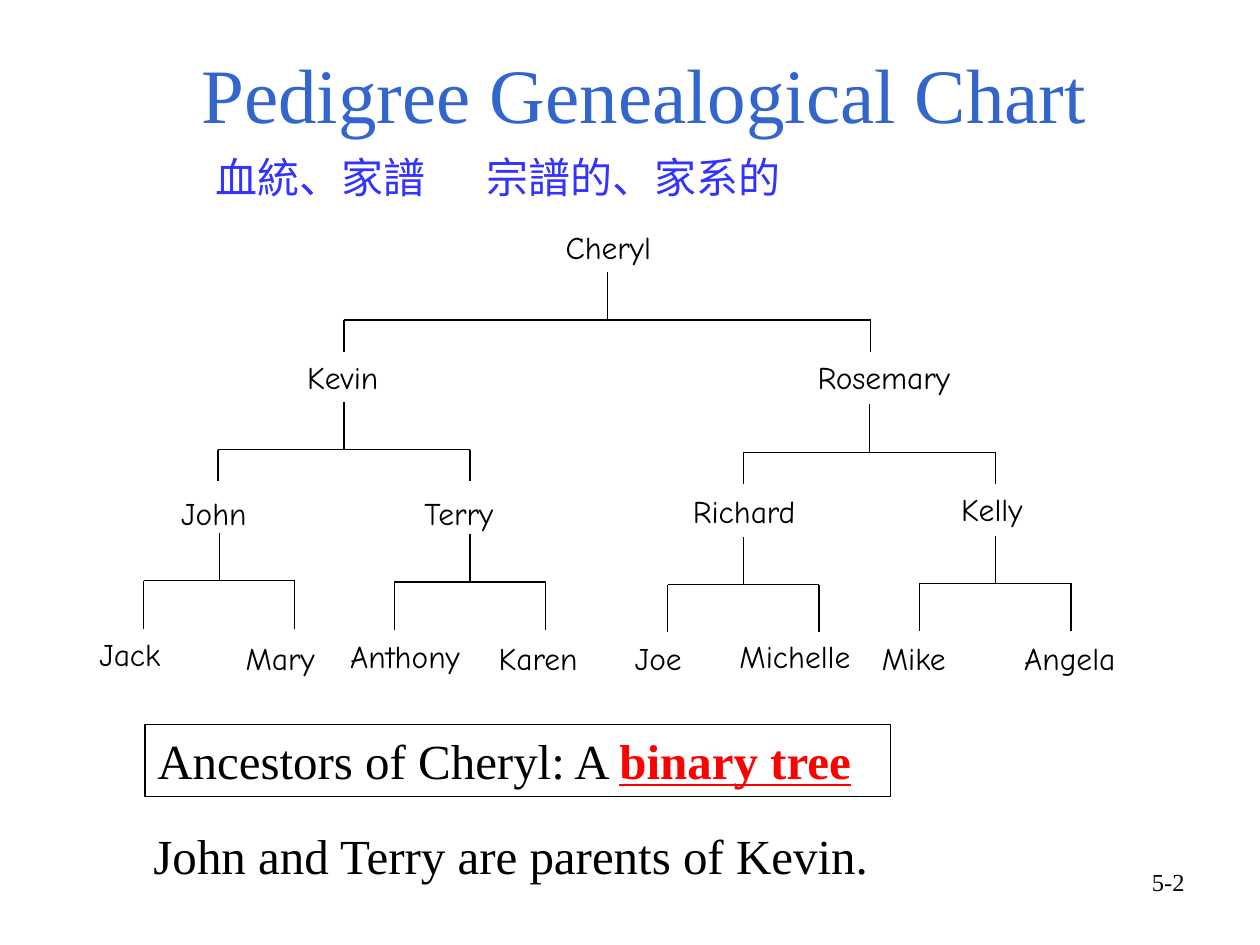
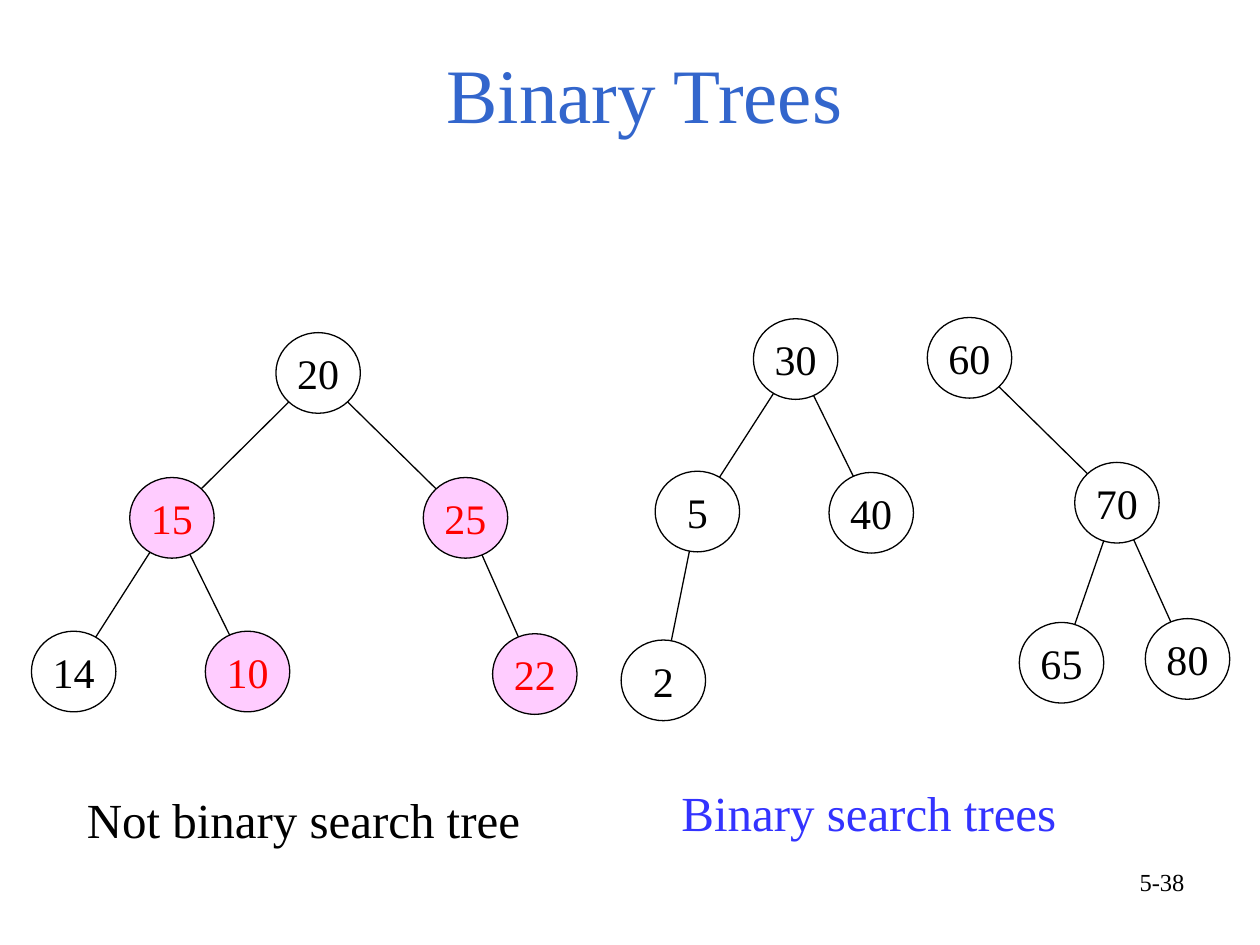
from math import hypot

from lxml import etree
from pptx import Presentation
from pptx import util as u
from pptx.dml.color import RGBColor
from pptx.enum import shapes, text
from pptx.oxml.ns import qn

PX = 9144
HEX = {"title": "3366CC", "ink": "000000", "blue": "3333FF",
       "red": "FF0000", "pink": "FFCCFF"}
SERIF, COMIC, CJK = "Times New Roman", "Comic Neue", "Noto Sans CJK SC"
LEFT, MID, RIGHT = text.PP_ALIGN.LEFT, text.PP_ALIGN.CENTER, text.PP_ALIGN.RIGHT
WIDE, HIGH = 67, 64

NAMES = [
    ("Cheryl", 439, 176, 100),
    ("Kevin", 234, 279, 114), ("Rosemary", 639, 279, 137),
    ("John", 134, 387, 100), ("Terry", 327, 387, 92),
    ("Richard", 540, 386, 129), ("Kelly", 753, 384, 96),
    ("Jack", 69, 499, 92), ("Mary", 185, 502, 92),
    ("Anthony", 268, 501, 118), ("Karen", 386, 502, 117),
    ("Joe", 494, 502, 92), ("Michelle", 577, 501, 145),
    ("Mike", 690, 502, 92), ("Angela", 803, 502, 114),
]
LEVELS = [
    (209, 25, [(482, 254)]),
    (100, 25, [(273, 357), (690, 359)]),
    (60, 38, [(174, 461), (373, 462), (590, 464), (790, 463)]),
]
STEM = 38

NODES = {
    20: (219, 264), 15: (103, 379), 25: (336, 379),
    14: (25, 501), 10: (163, 501), 22: (391, 503),
    30: (598, 253), 5: (520, 374), 40: (658, 375), 2: (493, 508),
    60: (736, 252), 70: (853, 367), 65: (809, 494), 80: (909, 491),
}
EDGES = [(20, 15), (20, 25), (15, 14), (15, 10), (25, 22),
         (30, 5), (30, 40), (5, 2), (60, 70), (70, 65), (70, 80)]
WRONG = {15, 25, 10, 22}


def px(*nums):
    return [u.Emu(round(n * PX)) for n in nums]


def tint(name):
    return RGBColor.from_string(HEX[name])


def style(run, size, color, face):
    run.font.size = u.Pt(size)
    run.font.name = face
    run.font.color.rgb = tint(color)


def write(shape, words, size, color="ink", face=SERIF, align=LEFT):
    frame = shape.text_frame
    frame.text = words
    para = frame.paragraphs[0]
    para.alignment = align
    style(para.runs[0], size, color, face)
    return para


def label(group, words, spot, size, **look):
    box = group.add_textbox(*px(*spot))
    box.text_frame.word_wrap = True
    return write(box, words, size, **look)


def line(group, x1, y1, x2, y2):
    link = group.add_connector(shapes.MSO_CONNECTOR.STRAIGHT, *px(x1, y1, x2, y2))
    link.line.color.rgb = tint("ink")
    link.line.width = u.Pt(0.75)
    etree.SubElement(link._element.spPr, qn("a:effectLst"))


def outline(group, kind, spot, fill=None):
    shape = group.add_shape(kind, *px(*spot))
    shape.shadow.inherit = False
    shape.line.color.rgb = tint("ink")
    shape.line.width = u.Pt(0.75)
    if fill:
        shape.fill.solid()
        shape.fill.fore_color.rgb = tint(fill)
    else:
        shape.fill.background()
    return shape


def page(deck, title, number):
    slide = deck.slides.add_slide(deck.slide_layouts[5])
    head = slide.shapes.title
    head.left, head.top, head.width, head.height = px(75, 38, 873, 77)
    write(head, title, 44, "title", align=MID)
    head.text_frame.vertical_anchor = text.MSO_ANCHOR.BOTTOM
    label(slide.shapes, number, (717, 683, 233, 52), 14, align=RIGHT)
    return slide.shapes


def fork(group, x, bar, half, drop):
    line(group, x, bar - STEM, x, bar)
    line(group, x - half, bar, x + half, bar)
    for end in (x - half, x + half):
        line(group, end, bar, end, bar + drop)


def gloss(group):
    para = label(group, "血統、家譜\t宗譜的、家系的", (161, 115, 693, 50), 24,
                 color="blue", face=CJK)
    tabs = etree.SubElement(para._p.get_or_add_pPr(), qn("a:tabLst"))
    etree.SubElement(tabs, qn("a:tab"), pos=str(px(215)[0]), algn="l")
    for run in para.runs:
        east = etree.Element(qn("a:ea"), typeface=CJK)
        run.font._element.find(qn("a:latin")).addnext(east)


def claim(group):
    box = outline(group, shapes.MSO_SHAPE.RECTANGLE, (115, 575, 592, 57))
    box.text_frame.vertical_anchor = text.MSO_ANCHOR.TOP
    para = write(box, "Ancestors of Cheryl: A ", 28)
    key = para.add_run()
    key.text = "binary tree"
    style(key, 28, "red", SERIF)
    key.font.bold = key.font.underline = True


def node(group, key):
    bad = key in WRONG
    shape = outline(group, shapes.MSO_SHAPE.OVAL, (*NODES[key], WIDE, HIGH),
                    "pink" if bad else None)
    shape.text_frame.word_wrap = False
    shape.text_frame.vertical_anchor = text.MSO_ANCHOR.MIDDLE
    write(shape, str(key), 24, "red" if bad else "ink", align=MID)


def edge(group, top, low):
    x1, y1, x2, y2 = (n + side / 2 for key in (top, low)
                      for n, side in zip(NODES[key], (WIDE, HIGH)))
    part = 1 / hypot((x2 - x1) / (WIDE / 2), (y2 - y1) / (HIGH / 2))
    dx, dy = (x2 - x1) * part, (y2 - y1) * part
    line(group, x1 + dx, y1 + dy, x2 - dx, y2 - dy)


def family(deck):
    board = page(deck, "Pedigree Genealogical Chart", "5-2")
    tree = board.add_group_shape().shapes
    for half, drop, forks in LEVELS:
        for x, bar in forks:
            fork(tree, x, bar, half, drop)
    for name, x, y, wide in NAMES:
        label(tree, name, (x, y, wide, 40), 18, face=COMIC)
    claim(board)
    gloss(board)
    label(board, "John and Terry are parents of Kevin.", (112, 650, 763, 57), 28)


def search(deck):
    board = page(deck, "Binary Trees", "5-38")
    for key in NODES:
        node(board, key)
    for top, low in EDGES:
        edge(board, top, low)
    label(board, "Not binary search tree", (59, 622, 402, 57), 28)
    label(board, "Binary search trees", (531, 616, 378, 57), 28, color="blue")


def main():
    deck = Presentation()
    deck.slide_width, deck.slide_height = px(1000, 750)
    family(deck)
    search(deck)
    deck.save("out.pptx")


if __name__ == "__main__":
    main()
